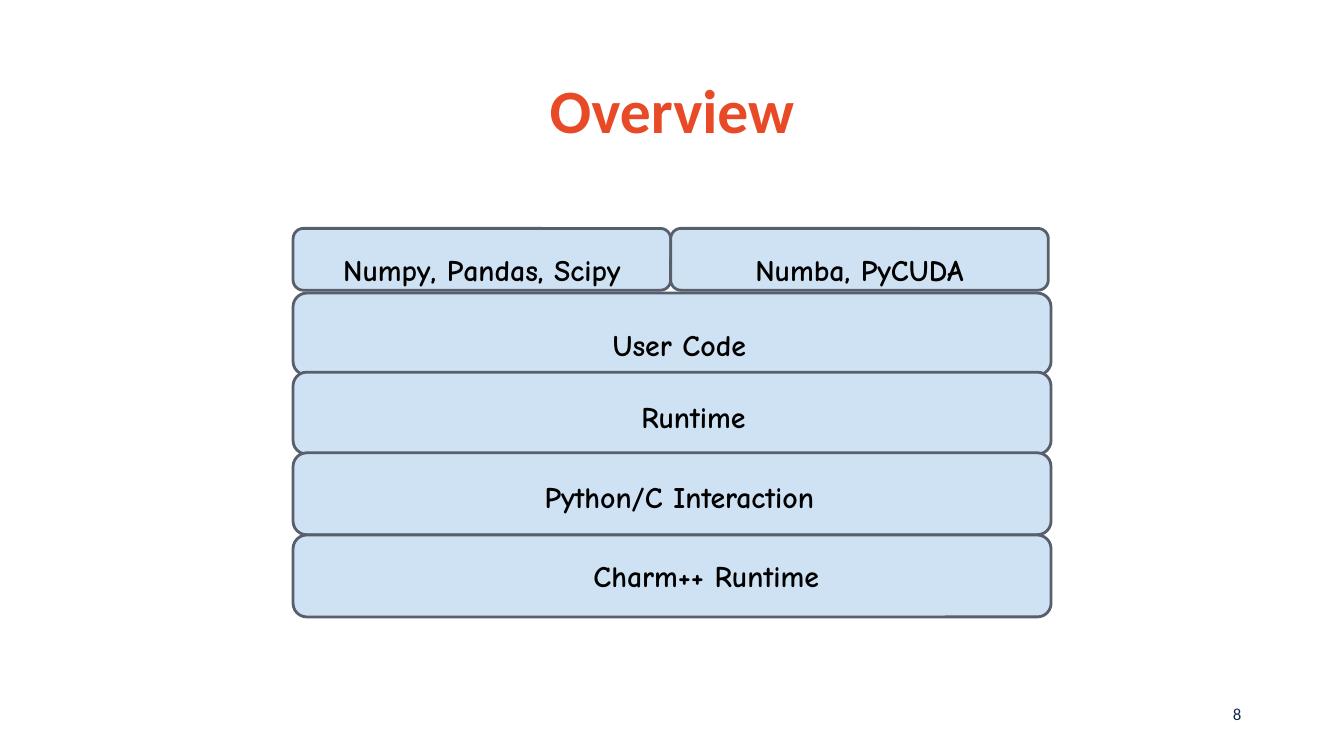
from dataclasses import dataclass

from pptx import Presentation
from pptx.dml.color import RGBColor
from pptx.enum.shapes import MSO_SHAPE
from pptx.enum.text import MSO_ANCHOR, MSO_AUTO_SIZE, PP_ALIGN
from pptx.slide import Slide
from pptx.text.text import TextFrame
from pptx.util import Pt

COLORS = {
    "title": "E84A27",
    "number": "13294B",
    "fill": "CFE2F3",
    "outline": "575F6D",
    "label": "000000",
}
STACK_LEFT = 157
LIBRARY_TOP, LIBRARY_WIDTH, LIBRARY_HEIGHT = 122.4, 202.3, 33.1
LAYER_WIDTH, LAYER_HEIGHT = 406.1, 43.9
LABEL_HEIGHT = 33.8


@dataclass
class Area:
    left: float
    top: float
    width: float
    height: float

    def lengths(self) -> tuple:
        return Pt(self.left), Pt(self.top), Pt(self.width), Pt(self.height)


@dataclass
class Layer:
    text: str
    box: Area
    label: Area


def library(text: str, column: int) -> Layer:
    left = STACK_LEFT + column * LIBRARY_WIDTH
    return Layer(
        text,
        Area(left, LIBRARY_TOP, LIBRARY_WIDTH, LIBRARY_HEIGHT),
        Area(left, LIBRARY_TOP + 5, LIBRARY_WIDTH, LABEL_HEIGHT),
    )


def full_layer(text: str, top: float, label_center: float, label_top: float) -> Layer:
    label_width = 208
    return Layer(
        text,
        Area(STACK_LEFT, top, LAYER_WIDTH, LAYER_HEIGHT),
        Area(label_center - label_width / 2, label_top, label_width, LABEL_HEIGHT),
    )


LAYERS = [
    library("Numpy, Pandas, Scipy", 0),
    full_layer("User Code", 157, 364, 167.8),
    full_layer("Runtime", 199.4, 371.5, 206.6),
    full_layer("Python/C Interaction", 242.6, 364, 249.1),
    full_layer("Charm++ Runtime", 286.6, 378.4, 291.6),
    library("Numba, PyCUDA", 1),
]


def write_text(frame: TextFrame, text: str, *, size: float, color: str,
               font: str = "Calibri", bold: bool = False,
               align: PP_ALIGN = PP_ALIGN.CENTER,
               anchor: MSO_ANCHOR = MSO_ANCHOR.MIDDLE,
               inset_x: float = 5.4, inset_y: float = 2.7,
               line_spacing: float = 1.0,
               auto_size: MSO_AUTO_SIZE = MSO_AUTO_SIZE.NONE) -> None:
    frame.word_wrap = True
    frame.auto_size = auto_size
    frame.vertical_anchor = anchor
    frame.margin_left = frame.margin_right = Pt(inset_x)
    frame.margin_top = frame.margin_bottom = Pt(inset_y)
    paragraph = frame.paragraphs[0]
    paragraph.alignment = align
    paragraph.line_spacing = line_spacing
    span = paragraph.add_run()
    span.text = text
    span.font.name = font
    span.font.size = Pt(size)
    span.font.bold = bold
    span.font.color.rgb = RGBColor.from_string(COLORS[color])


def draw_layer(page: Slide, layer: Layer) -> None:
    box = page.shapes.add_shape(MSO_SHAPE.ROUNDED_RECTANGLE, *layer.box.lengths())
    box.shadow.inherit = False
    box.fill.solid()
    box.fill.fore_color.rgb = RGBColor.from_string(COLORS["fill"])
    box.line.color.rgb = RGBColor.from_string(COLORS["outline"])
    box.line.width = Pt(1.5)
    label = page.shapes.add_textbox(*layer.label.lengths())
    write_text(label.text_frame, layer.text, size=16, color="label",
               font="Comic Neue", bold=True, anchor=MSO_ANCHOR.TOP,
               inset_x=7.2, inset_y=7.2,
               auto_size=MSO_AUTO_SIZE.SHAPE_TO_FIT_TEXT)


def main() -> None:
    deck = Presentation()
    deck.slide_width, deck.slide_height = Pt(720), Pt(405)
    page = deck.slides.add_slide(deck.slide_layouts[5])

    title = page.shapes.title
    title.left, title.top, title.width, title.height = Area(49.5, 21.6, 621, 78.3).lengths()
    write_text(title.text_frame, "Overview", size=33, color="title", bold=True,
               line_spacing=0.9)

    number = page.shapes.add_textbox(*Area(508.5, 371.5, 162, 21.6).lengths())
    write_text(number.text_frame, "8", size=9, color="number", align=PP_ALIGN.RIGHT)

    for layer in LAYERS:
        draw_layer(page, layer)
    deck.save("out.pptx")


if __name__ == "__main__":
    main()
